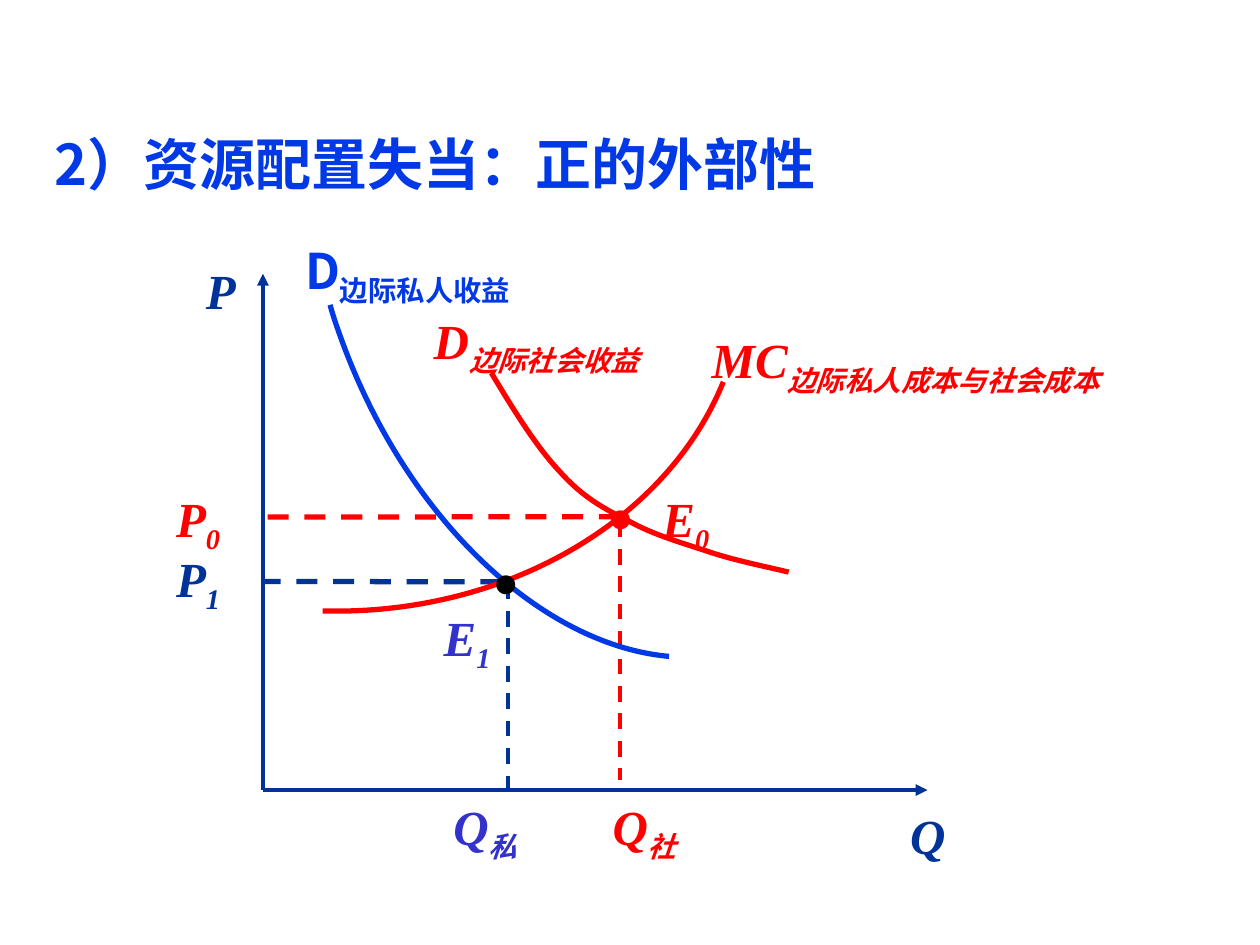
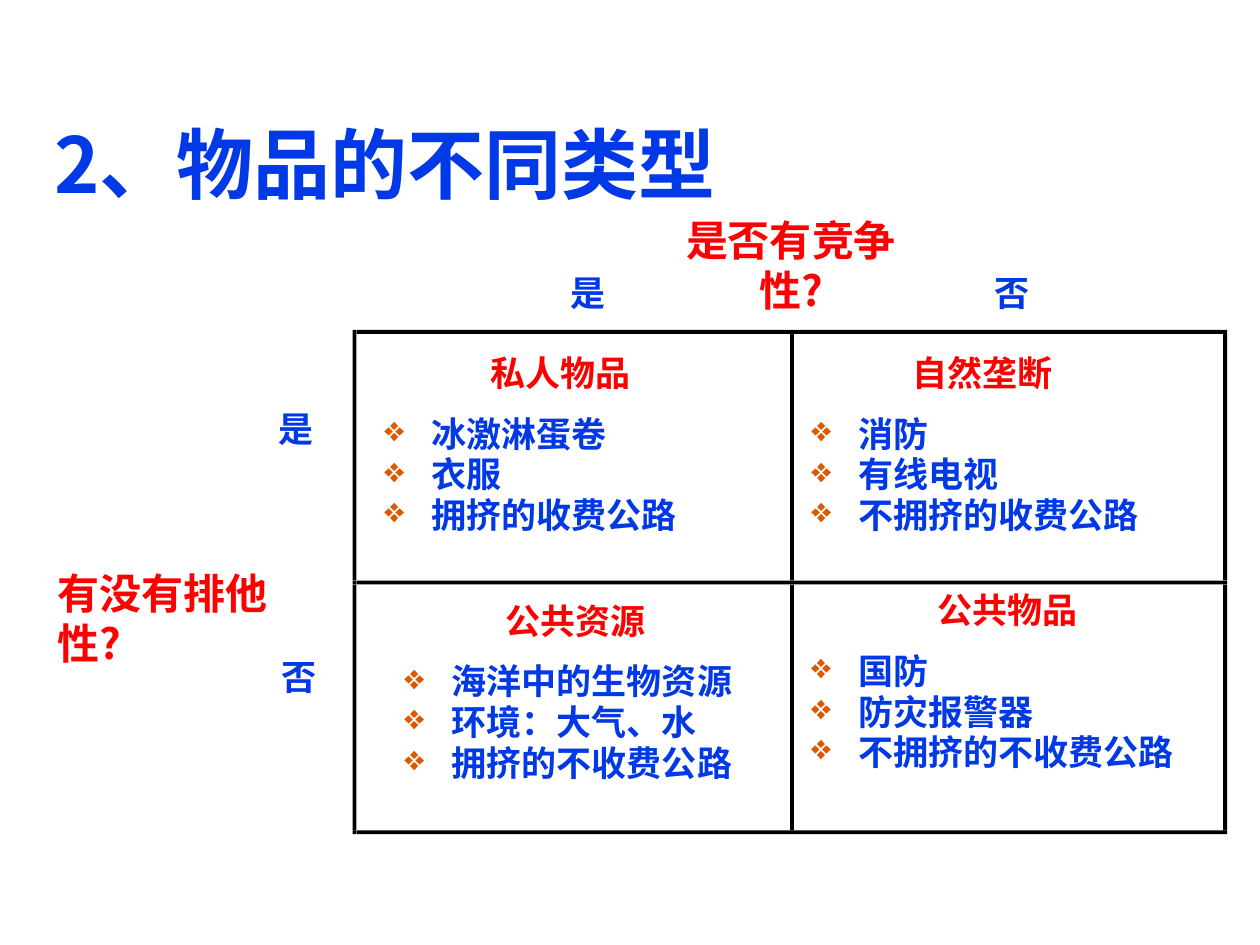
from dataclasses import dataclass
from itertools import pairwise, product
from typing import Sequence

from lxml import etree
from pptx import Presentation
from pptx.dml.color import RGBColor
from pptx.enum import dml, shapes, text
from pptx.oxml.ns import qn
from pptx.util import Pt

CJK, SERIF = "Noto Sans CJK SC", "Times New Roman"
BLUE, NAVY, VIOLET = "0039E5", "003399", "3333CC"
RED, BLACK, ORANGE = "FF0000", "000000", "DC5900"
BAR = 2.25
Point = tuple[float, float]


@dataclass
class Label:
    """Text with an optional subscript."""
    x: float
    y: float
    w: float
    h: float
    main: str
    color: str
    sub: str = ""
    size: float = 28
    font: str = SERIF
    italic: bool = True
    inset: bool = True
    center: bool = False
    middle: bool = False
    grow: bool = True


@dataclass
class Line:
    start: Point
    end: Point
    color: str
    width: float = 2.25
    dash: bool = False
    arrow: bool = False


@dataclass
class Curve:
    """A start point followed by cubic segments, three points each."""
    color: str
    points: Sequence[Point]


@dataclass
class Quadrant:
    x: float
    y: float
    w: float
    h: float
    heading: str
    items: Sequence[str]


def rgb(value: str) -> RGBColor:
    return RGBColor.from_string(value)


def add_run(p, words: str, color: str, size: float, font: str = CJK,
            italic: bool = False, sub: bool = False) -> None:
    r = p.add_run()
    r.text = words
    formats = {"name": font, "size": Pt(size), "bold": True, "italic": italic}
    for key, value in formats.items():
        setattr(r.font, key, value)
    r.font.color.rgb = rgb(color)
    props = r._r.get_or_add_rPr()
    if sub:
        props.set("baseline", "-25000")
    etree.SubElement(props, qn("a:ea"), typeface=CJK)


def add_label(s, label: Label) -> None:
    sp = s.shapes.add_textbox(*map(Pt, (label.x, label.y, label.w, label.h)))
    tf = sp.text_frame
    formats = {"word_wrap": True}
    if label.grow:
        formats["auto_size"] = text.MSO_AUTO_SIZE.SHAPE_TO_FIT_TEXT
    if label.middle:
        formats["vertical_anchor"] = text.MSO_ANCHOR.MIDDLE
    if not label.inset:
        sides = ("left", "top", "right", "bottom")
        formats.update({f"margin_{side}": 0 for side in sides})
    for key, value in formats.items():
        setattr(tf, key, value)
    p = tf.paragraphs[0]
    if label.center:
        p.alignment = text.PP_ALIGN.CENTER
    add_run(p, label.main, label.color, label.size, label.font, label.italic)
    if label.sub:
        add_run(p, label.sub, label.color, label.size, label.font,
                label.italic, sub=True)


def add_title(s, words: str, size: float) -> None:
    add_label(s, Label(24, 48, 672, 90, words, BLUE, size=size, font=CJK,
                       italic=False, middle=True, grow=False))


def add_line(s, line: Line) -> None:
    sp = s.shapes.add_connector(shapes.MSO_CONNECTOR.STRAIGHT,
                                *map(Pt, line.start + line.end))
    sp.line.color.rgb = rgb(line.color)
    sp.line.width = Pt(line.width)
    if line.dash:
        sp.line.dash_style = dml.MSO_LINE.DASH
    if line.arrow:
        etree.SubElement(sp.line._get_or_add_ln(), qn("a:tailEnd"),
                         type="triangle")
    etree.SubElement(sp._element.spPr, qn("a:effectLst"))


def add_curve(s, curve: Curve) -> None:
    first, *rest = [tuple(map(Pt, pt)) for pt in curve.points]
    builder = s.shapes.build_freeform(*first)
    builder.add_line_segments(rest, close=False)
    sp = builder.convert_to_shape()
    # Turn every three straight steps into one cubic segment
    steps = list(sp._element.iter(qn("a:lnTo")))
    for i in range(0, len(steps), 3):
        cubic = etree.Element(qn("a:cubicBezTo"))
        steps[i].addprevious(cubic)
        for step in steps[i:i + 3]:
            cubic.append(step[0])
            step.getparent().remove(step)
    sp.shadow.inherit = False
    sp.fill.background()
    sp.line.color.rgb = rgb(curve.color)
    sp.line.width = Pt(3)


def add_bar(s, x: float, y: float, w: float = BAR, h: float = BAR) -> None:
    sp = s.shapes.add_shape(shapes.MSO_SHAPE.RECTANGLE,
                            *map(Pt, (x, y, w, h)))
    sp.shadow.inherit = False
    sp.fill.solid()
    sp.fill.fore_color.rgb = rgb(BLACK)
    sp.line.fill.background()


def add_bullet(p) -> None:
    props = p._p.get_or_add_pPr()
    color = etree.SubElement(props, qn("a:buClr"))
    etree.SubElement(color, qn("a:srgbClr"), val=ORANGE)
    etree.SubElement(props, qn("a:buSzPct"), val="100000")
    etree.SubElement(props, qn("a:buChar"), char="❖")


def add_quadrant(s, quad: Quadrant) -> None:
    sp = s.shapes.add_textbox(*map(Pt, (quad.x, quad.y, quad.w, quad.h)))
    tf = sp.text_frame
    tf.word_wrap = True
    for i, words in enumerate((quad.heading, *quad.items)):
        p = tf.add_paragraph() if i else tf.paragraphs[0]
        p.line_spacing = 0.8
        p.space_before = Pt((0, 15.5, 4, 4)[i])
        props = p._p.get_or_add_pPr()
        props.set("marL", str(Pt(27)))
        props.set("indent", str(-Pt(27)))
        if i:
            add_bullet(p)
        else:
            p.alignment = text.PP_ALIGN.CENTER
        add_run(p, words, BLUE if i else RED, 20)


# Positive externality: axes, guides, curves and labels
ORIGIN = (150.25, 451.5)
LINES = (
    Line(ORIGIN, (530, 451.5), NAVY, arrow=True),
    Line(ORIGIN, (150.25, 156.5), NAVY, arrow=True),
    Line((354.25, 298), (354.25, 446), RED, dash=True),
    Line((290.25, 333.5), (290.25, 452), NAVY, dash=True),
    Line((286.5, 332.5), (150.25, 332.25), NAVY, 3, dash=True),
    Line((354.25, 295.25), (150.25, 295.5), RED, 3, dash=True),
)
CURVES = (
    Curve(BLUE, ((188.6, 174.2), (190.8, 182.2), (193.7, 190.1), (196.6, 198),
                 (234, 297.4), (309.6, 368.6), (382.3, 375.1))),
    Curve(RED, ((184.3, 349.2), (187.2, 349.2), (189.4, 349.2), (192.2, 349.2),
                (292.3, 349.2), (381.6, 296.6), (413.3, 218.2))),
    Curve(RED, ((280.8, 213.1), (293.8, 234.7), (306.7, 255.6), (320.4, 270),
                (333.4, 284.4), (345.6, 290.9), (360, 298.1),
                (374.4, 306), (390.2, 310.3), (405.4, 315.4),
                (420.5, 320.4), (435.6, 323.3), (450.7, 326.9))),
)
LABELS = (
    Label(110.5, 145.5, 34, 41, "P", NAVY),
    Label(513, 457, 40, 41, "Q", NAVY),
    Label(240.75, 174, 170, 41, "D", RED, "边际社会收益"),
    Label(167.25, 134, 153, 41, "D", BLUE, "边际私人收益", font=CJK,
          italic=False),
    Label(93.5, 310, 57, 41, "P", NAVY, "1"),
    Label(93.5, 275.5, 57, 41, "P", RED, "0"),
    Label(252, 451.5, 68, 41, "Q", VIOLET, "私"),
    Label(343, 451.5, 79, 41, "Q", RED, "社"),
    Label(275, 304, 63, 55.5, "•", BLACK, size=40, italic=False),
    Label(340.5, 267, 34, 55.5, "•", RED, size=40, italic=False),
    Label(371.5, 275.5, 45, 41, "E", RED, "0"),
    Label(246.5, 343.5, 45, 41, "E", VIOLET, "1"),
    Label(399.5, 185, 290, 41, "MC", RED, "边际私人成本与社会成本"),
)

# Types of goods: grid, questions, answers and quadrants
COLUMNS, ROWS = (201.5, 451.5, 699), (188.5, 331.75, 474.5)
QUESTIONS = (
    Label(382, 122.5, 140, 58, "是否有竞争性?", RED, size=24, font=CJK,
          italic=False, inset=False, center=True),
    Label(25.5, 320.5, 154, 66, "有没有排他性?", RED, size=24, font=CJK,
          italic=False),
)
ANSWERS = (("是", 326, 155), ("否", 568, 155), ("是", 159, 233),
           ("否", 160.75, 374.5))
QUADRANTS = (
    Quadrant(212.5, 202, 215.5, 119, "私人物品",
             ("冰激淋蛋卷", "衣服", "拥挤的收费公路")),
    Quadrant(456.5, 202, 209.5, 119, "自然垄断",
             ("消防", "有线电视", "不拥挤的收费公路")),
    Quadrant(224, 343.5, 209.5, 113, "公共资源",
             ("海洋中的生物资源", "环境：大气、水", "拥挤的不收费公路")),
    Quadrant(456.5, 337.5, 238.5, 113, "公共物品",
             ("国防", "防灾报警器", "不拥挤的不收费公路")),
)


def add_grid(s) -> None:
    """Joints at the crossings, bars along every cell edge."""
    for x, y in product(COLUMNS, ROWS):
        add_bar(s, x, y)
    for (left, right), y in product(pairwise(COLUMNS), ROWS):
        add_bar(s, left + BAR, y, w=right - left - BAR)
    for x, (top, bottom) in product(COLUMNS, pairwise(ROWS)):
        add_bar(s, x, top + BAR, h=bottom - top - BAR)


def build_externality(s) -> None:
    add_title(s, "2）资源配置失当：正的外部性", 32)
    for line in LINES:
        add_line(s, line)
    for curve in CURVES:
        add_curve(s, curve)
    for label in LABELS:
        add_label(s, label)


def build_goods(s) -> None:
    add_title(s, "2、物品的不同类型", 44)
    add_grid(s)
    for label in QUESTIONS:
        add_label(s, label)
    for word, x, y in ANSWERS:
        add_label(s, Label(x, y, 20.5, 24.5, word, BLUE, size=20, font=CJK,
                           italic=False, inset=False))
    for quad in QUADRANTS:
        add_quadrant(s, quad)


def main() -> None:
    prs = Presentation()
    prs.slide_width, prs.slide_height = Pt(720), Pt(540)
    for build in (build_externality, build_goods):
        build(prs.slides.add_slide(prs.slide_layouts[6]))
    prs.save("out.pptx")


if __name__ == "__main__":
    main()
